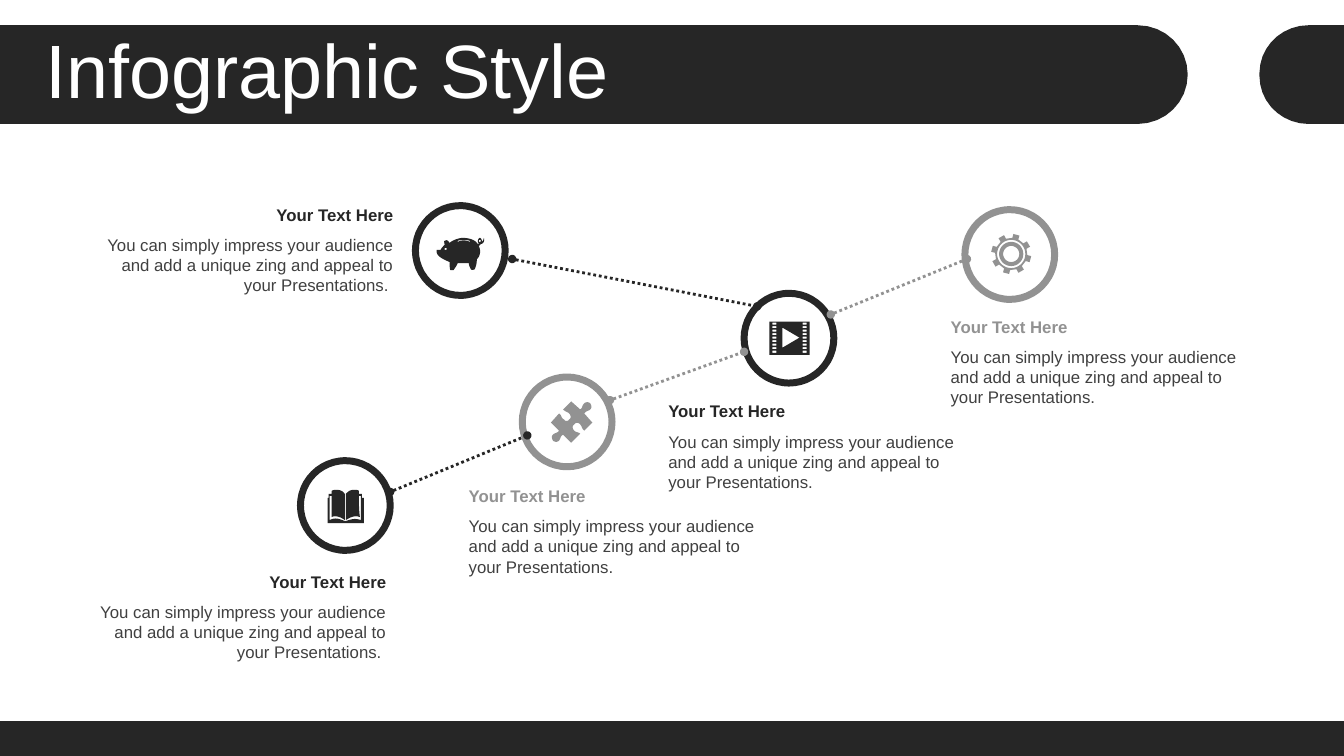
from dataclasses import dataclass
from math import cos, radians, sin

from lxml.etree import SubElement
from pptx import Presentation
from pptx.dml.color import RGBColor
from pptx.enum.dml import MSO_LINE
from pptx.enum.shapes import MSO_CONNECTOR, MSO_SHAPE
from pptx.enum.text import MSO_ANCHOR, MSO_AUTO_SIZE, PP_ALIGN
from pptx.oxml.ns import qn
from pptx.util import Inches, Pt


@dataclass(frozen=True)
class Theme:
    font: str = "Arial"
    dark: RGBColor = RGBColor(0x26, 0x26, 0x26)
    gray: RGBColor = RGBColor(0x92, 0x92, 0x92)
    body: RGBColor = RGBColor(0x40, 0x40, 0x40)
    white: RGBColor = RGBColor(0xFF, 0xFF, 0xFF)
    title_size: int = 54
    text_size: int = 12
    ring_width: int = 5
    dots_width: int = 2


THEME = Theme()
RING = 0.89
HEADING = "Your Text Here"
DETAIL = ("You can simply impress your audience and add a unique zing "
          "and appeal to your Presentations.")

# Outlines in inches, in parts: M move, L line, C cubic curve, Z close
BANNER = ("M 0 .25 L 11.28 .25 C 11.56 .25 11.78 .47 11.78 .74",
          "C 11.78 1.01 11.56 1.23 11.28 1.23 L 0 1.23 Z")
BANNER_END = ("M 12.98 .25 L 13.33 .25 L 13.33 1.23 L 12.98 1.23 C 12.74 1.23 12.54 1.06 12.5 .84",
              "L 12.49 .74 L 12.5 .64 C 12.54 .42 12.74 .25 12.98 .25 Z")
PUZZLE = (
    "M 5.85 4 C 5.86 4.02 5.87 4.04 5.85 4.06 C 5.83 4.08 5.81 4.07 5.79 4.1 L 5.87 4.19 L 5.79 4.27",
    "C 5.76 4.25 5.77 4.22 5.74 4.2 C 5.73 4.19 5.7 4.19 5.69 4.21 C 5.67 4.22 5.67 4.25 5.69 4.27",
    "C 5.71 4.29 5.72 4.28 5.75 4.3 L 5.66 4.39 L 5.58 4.31 C 5.55 4.33 5.56 4.34 5.54 4.37",
    "C 5.52 4.39 5.49 4.38 5.48 4.37 C 5.47 4.35 5.46 4.33 5.48 4.31 C 5.5 4.29 5.52 4.3 5.54 4.27",
    "L 5.46 4.19 L 5.54 4.1 C 5.57 4.12 5.56 4.15 5.59 4.16 C 5.6 4.18 5.63 4.18 5.64 4.16",
    "C 5.66 4.15 5.66 4.12 5.64 4.1 C 5.62 4.08 5.61 4.09 5.58 4.06 L 5.66 3.98 L 5.75 4.06",
    "C 5.78 4.04 5.76 4.03 5.79 4 C 5.81 3.98 5.84 3.99 5.85 4 Z")
BOOK = (
    "M 3.42 5.17 L 3.43 5.17 C 3.49 5.15 3.52 5.14 3.58 5.16 L 3.58 4.92 L 3.56 4.92",
    "C 3.56 4.99 3.56 5.06 3.57 5.13 C 3.52 5.11 3.48 5.13 3.43 5.16 L 3.43 4.9",
    "C 3.46 4.87 3.48 4.86 3.51 4.86 C 3.53 4.86 3.55 4.86 3.56 4.87 L 3.56 4.9 L 3.59 4.9 L 3.59 4.94",
    "L 3.61 4.94 L 3.61 5.19 L 3.25 5.19 L 3.25 4.94 L 3.26 4.94 L 3.26 4.9 L 3.29 4.9 L 3.29 4.87",
    "C 3.31 4.86 3.32 4.86 3.34 4.86 C 3.37 4.86 3.4 4.87 3.42 4.9 L 3.42 5.16",
    "C 3.38 5.13 3.33 5.11 3.29 5.13 L 3.29 4.92 L 3.27 4.92 L 3.27 5.16 C 3.33 5.13 3.37 5.15 3.42 5.17 Z")
PIG = (
    "M 4.42 2.46 C 4.41 2.46 4.41 2.46 4.41 2.47 C 4.41 2.48 4.41 2.48 4.42 2.48",
    "C 4.43 2.48 4.43 2.48 4.43 2.47 C 4.43 2.46 4.43 2.46 4.42 2.46 Z",
    "M 4.76 2.38 C 4.75 2.38 4.75 2.38 4.75 2.39 C 4.75 2.4 4.75 2.4 4.76 2.4",
    "C 4.76 2.4 4.77 2.4 4.77 2.39 C 4.77 2.38 4.76 2.38 4.76 2.38 Z",
    "M 4.6 2.38 C 4.58 2.38 4.56 2.38 4.54 2.39 L 4.54 2.4 C 4.58 2.38 4.62 2.38 4.66 2.4 L 4.66 2.39",
    "C 4.64 2.38 4.62 2.38 4.6 2.38 Z",
    "M 4.59 2.36 C 4.65 2.36 4.71 2.38 4.73 2.41 L 4.74 2.42 C 4.74 2.42 4.75 2.42 4.75 2.41",
    "C 4.74 2.41 4.74 2.4 4.74 2.39 C 4.74 2.38 4.75 2.36 4.76 2.36 C 4.77 2.36 4.78 2.38 4.78 2.39",
    "C 4.78 2.4 4.79 2.4 4.8 2.36 C 4.81 2.4 4.79 2.42 4.77 2.42 C 4.76 2.43 4.76 2.43 4.75 2.44",
    "L 4.76 2.47 C 4.77 2.51 4.75 2.56 4.73 2.57 C 4.73 2.62 4.72 2.64 4.71 2.67",
    "C 4.7 2.68 4.67 2.68 4.67 2.67 C 4.66 2.65 4.65 2.63 4.65 2.61 C 4.61 2.61 4.57 2.61 4.54 2.61",
    "C 4.53 2.64 4.51 2.66 4.5 2.68 L 4.47 2.68 C 4.46 2.68 4.46 2.63 4.46 2.6",
    "C 4.42 2.58 4.32 2.55 4.33 2.48 C 4.33 2.48 4.35 2.48 4.37 2.48 C 4.38 2.46 4.39 2.45 4.41 2.43",
    "C 4.41 2.41 4.4 2.39 4.41 2.39 C 4.44 2.37 4.45 2.4 4.46 2.41 C 4.49 2.38 4.56 2.36 4.59 2.36 Z")


# Outline geometry
def trace(parts, steps=8):
    """Turn an outline into contours, with curves as short segments."""
    contours, tokens = [], iter(" ".join(parts).split())
    for command in tokens:
        if command == "Z":
            continue
        count = 3 if command == "C" else 1
        points = [(float(next(tokens)), float(next(tokens))) for _ in range(count)]
        if command == "M":
            contours.append(points)
        elif command == "L":
            contours[-1] += points
        else:
            curve = [contours[-1][-1], *points]
            for step in range(1, steps + 1):
                t = step / steps
                weights = ((1 - t) ** 3, 3 * t * (1 - t) ** 2, 3 * t * t * (1 - t), t ** 3)
                contours[-1].append(tuple(sum(w * p[axis] for w, p in zip(weights, curve))
                                          for axis in (0, 1)))
    return contours


def polar(center, radius, degrees):
    angle = radians(degrees)
    return center[0] + radius * cos(angle), center[1] + radius * sin(angle)


def box(left, top, width, height):
    return [(left, top), (left + width, top), (left + width, top + height), (left, top + height)]


def gear(center):
    rings = [[polar(center, radius, a) for a in range(0, 360, 10)] for radius in (0.08, 0.12, 0.14)]
    teeth = [polar(center, radius, 45 * tooth - 75 + offset) for tooth in range(8)
             for radius, offset in ((0.16, -11), (0.2, -9), (0.2, 9), (0.16, 11))]
    return [*rings, teeth]


def film(left, top):
    holes = [box(left + x, top + 0.01 + 0.035 * row, 0.04, 0.02)
             for row in range(9) for x in (0.03, 0.33)]
    play = [(left + 0.13, top + 0.06), (left + 0.13, top + 0.26), (left + 0.3, top + 0.16)]
    return [*holes, play, box(left, top, 0.4, 0.33)]


def turn(contours, center, degrees):
    c, s = cos(radians(degrees)), sin(radians(degrees))
    return [[(center[0] + (x - center[0]) * c - (y - center[1]) * s,
              center[1] + (x - center[0]) * s + (y - center[1]) * c) for x, y in contour]
            for contour in contours]


# Slide elements
def paint(shape, fill, line=None):
    shape.shadow.inherit = False
    shape.fill.solid()
    shape.fill.fore_color.rgb = fill
    if line is None:
        shape.line.fill.background()
    else:
        shape.line.color.rgb = line
        shape.line.width = Pt(THEME.ring_width)


def add_outline(slide, contours, color, rotation=0):
    contours = [[(Inches(x), Inches(y)) for x, y in contour] for contour in contours]
    builder = slide.shapes.build_freeform(*contours[0][0])
    for index, contour in enumerate(contours):
        if index:
            builder.move_to(*contour[0])
        builder.add_line_segments(contour[1:], close=True)
    outline = builder.convert_to_shape()
    outline.rotation = rotation
    paint(outline, color)


def add_ring(slide, left, top, color):
    ring = slide.shapes.add_shape(MSO_SHAPE.OVAL, Inches(left), Inches(top), Inches(RING), Inches(RING))
    paint(ring, THEME.white, color)


def add_dotted_link(slide, start, end, color):
    link = slide.shapes.add_connector(MSO_CONNECTOR.STRAIGHT, *map(Inches, (*start, *end)))
    link.line.color.rgb = color
    link.line.width = Pt(THEME.dots_width)
    link.line.dash_style = MSO_LINE.ROUND_DOT
    stroke = link.line._get_or_add_ln()
    for end_tag in ("a:headEnd", "a:tailEnd"):
        SubElement(stroke, qn(end_tag), type="oval")
    SubElement(stroke.getparent(), qn("a:effectLst"))


def write(frame, text, *, color, size=THEME.text_size, bold=False, align=PP_ALIGN.LEFT,
          anchor=MSO_ANCHOR.TOP, fit=MSO_AUTO_SIZE.SHAPE_TO_FIT_TEXT, spacing=1.0):
    frame.word_wrap = True
    frame.auto_size = fit
    frame.vertical_anchor = anchor
    paragraph = frame.paragraphs[0]
    paragraph.text = text
    paragraph.alignment = align
    paragraph.line_spacing = spacing
    paragraph.space_before = Pt(0)
    font = paragraph.font
    font.name, font.size, font.bold = THEME.font, Pt(size), bold
    font.color.rgb = color


def add_caption(slide, left, top, width, color, align):
    detail = DETAIL + " " if align == PP_ALIGN.RIGHT else DETAIL
    for offset, height, text, ink, bold in ((0, 0.3, HEADING, color, True),
                                            (0.3, 0.71, detail, THEME.body, False)):
        caption = slide.shapes.add_textbox(*map(Inches, (left, top + offset, width, height)))
        write(caption.text_frame, text, color=ink, bold=bold, align=align)


def add_title(slide, text):
    title = slide.shapes.title
    title.left, title.top, title.width, title.height = map(Inches, (0.35, 0.34, 12.66, 0.79))
    write(title.text_frame, text, color=THEME.white, size=THEME.title_size,
          anchor=MSO_ANCHOR.MIDDLE, fit=MSO_AUTO_SIZE.NONE, spacing=0.9)
    slide.shapes._spTree.append(title._element)  # in front of the banner


def main():
    deck = Presentation()
    deck.slide_width, deck.slide_height = Inches(13.33), Inches(7.5)
    slide = deck.slides.add_slide(deck.slide_layouts[5])
    dark, gray = THEME.dark, THEME.gray

    # Banner, footer and title
    for contours in (trace(BANNER), [box(0, 7.15, 13.33, 0.35)], trace(BANNER_END)):
        add_outline(slide, contours, dark)
    add_title(slide, "Infographic Style")

    # Rings with their captions
    left, right = PP_ALIGN.LEFT, PP_ALIGN.RIGHT
    for ring, caption, color, align in (
            ((2.98, 4.57), (0.82, 5.62, 3.11), dark, right),
            ((7.38, 2.91), (6.53, 3.93, 3.11), dark, left),
            ((9.57, 2.08), (9.33, 3.09, 3.11), gray, left),
            ((4.12, 2.04), (0.95, 1.98, 3.05), dark, right),
            ((5.18, 3.74), (4.55, 4.77, 3.11), gray, left)):
        add_ring(slide, *ring, color)
        add_caption(slide, *caption, color, align)

    # Dotted links
    for start, end, color in (((3.87, 4.88), (5.23, 4.32), dark), ((6.05, 3.97), (7.38, 3.49), gray),
                              ((8.24, 3.12), (9.59, 2.57), gray), ((5.08, 2.57), (7.51, 3.04), dark)):
        add_dotted_link(slide, start, end, color)

    # Icons
    add_outline(slide, turn(trace(PUZZLE), (5.67, 4.18), -45), gray, rotation=45)
    add_outline(slide, trace(BOOK), dark)
    add_outline(slide, film(7.63, 3.19), dark)
    add_outline(slide, gear((10.03, 2.52)), gray)
    add_outline(slide, trace(PIG), dark)
    deck.save("out.pptx")


if __name__ == "__main__":
    main()
